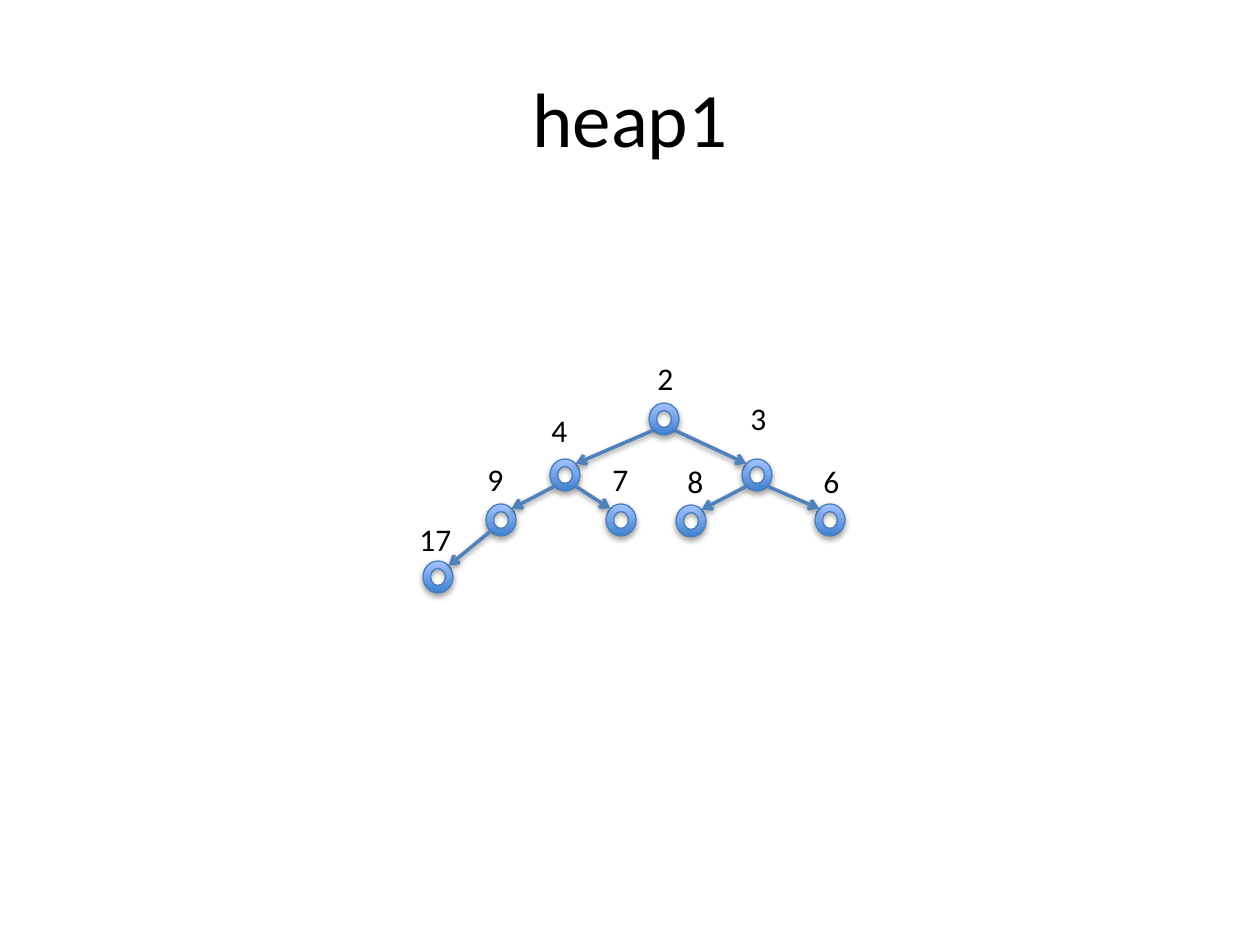
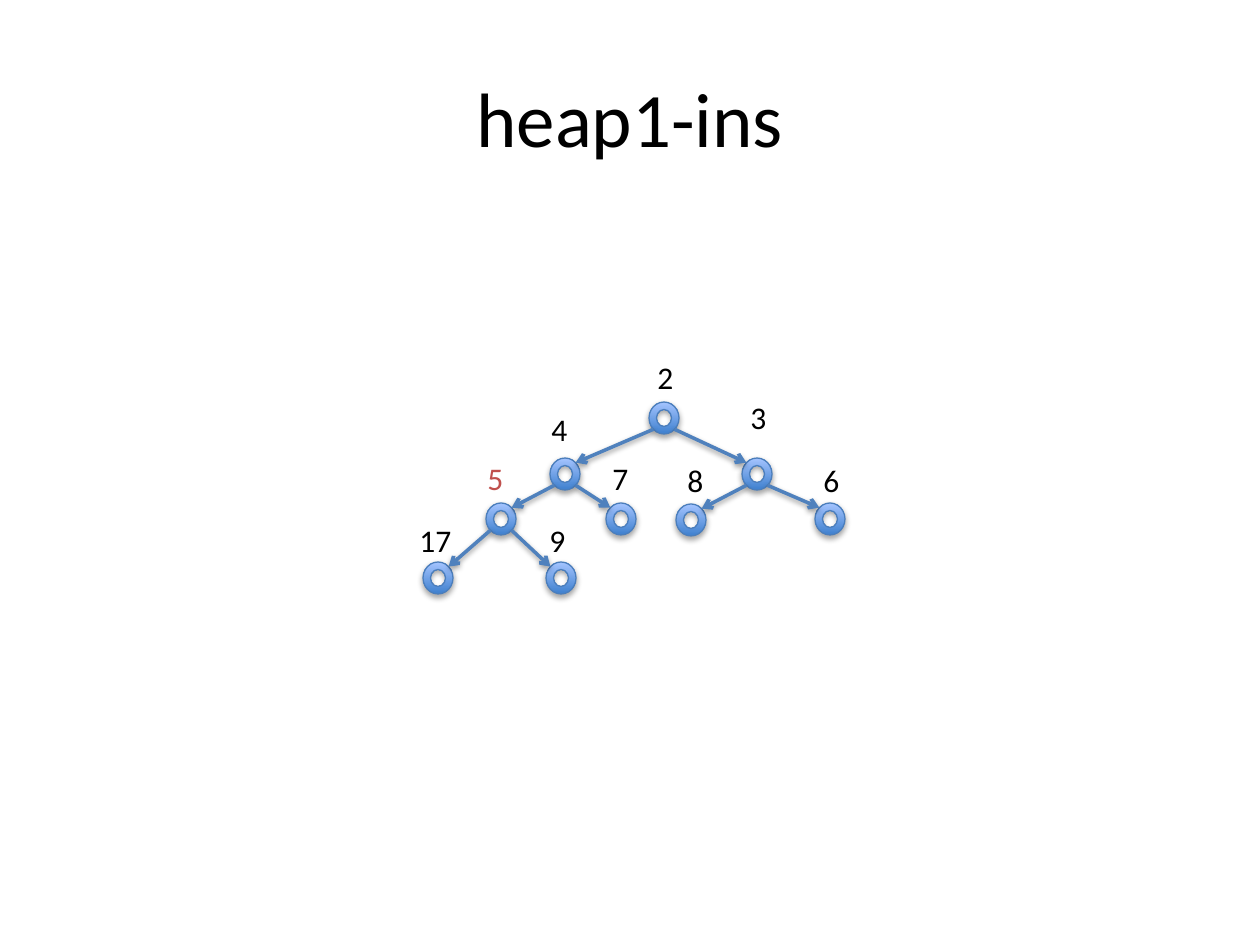
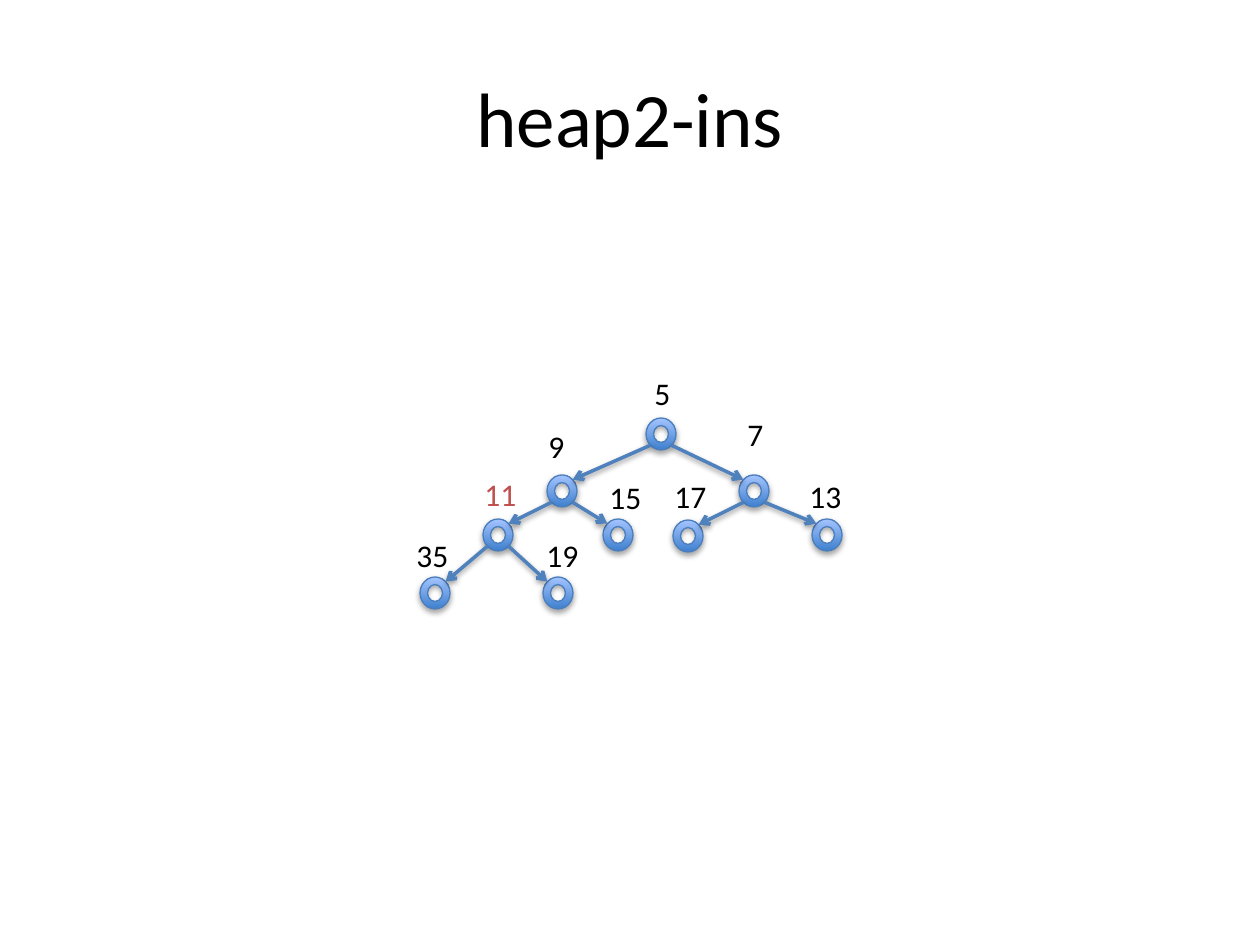
from math import sqrt
from lxml import etree
from pptx import Presentation
from pptx import util as u
from pptx.dml.color import RGBColor
from pptx.enum import shapes, text
from pptx.oxml.ns import nsdecls, qn

PX = 914400 / 126
FONT = "Calibri"
BLACK, RED = "000000", "C0504D"
RING_BOTTOM, RING_TOP, RING_LINE, EDGE = "3F80CE", "A4C4FF", "4B7EBC", "4F81BD"
NODE_W, NODE_H = 30, 32
LABEL_H = 50
LABEL_WIDTHS = {1: 42, 2: 58}

# name: left, row, drop below row, label offset from node
NODES = {
    "root": (649, 0, 0, (-4, -50)),
    "l": (550, 1, 0, (-11, -54)),
    "r": (742, 1, 0, (-4, -66)),
    "ll": (486, 2, 0, (-11, -50)),
    "lr": (606, 2, 0, (-6, -50)),
    "rl": (676, 2, 1, (-1, -49)),
    "rr": (815, 2, 0, (-4, -48)),
    "lll": (423, 3, 0, (-16, -47)),
    "llr": (546, 3, 0, (-9, -47)),
}
EDGES = [("root", "l"), ("root", "r"), ("l", "ll"), ("l", "lr"),
         ("r", "rl"), ("r", "rr"), ("ll", "lll"), ("ll", "llr")]

HEAPS = [
    {"title": "heap1", "shift": 0, "rows": (403, 459, 504, 561),
     "keys": dict(root="2", l="4", r="3", ll="9", lr="7", rl="8", rr="6", lll="17")},
    {"title": "heap1-ins", "shift": 0, "rows": (402, 458, 503, 562), "inserted": "ll",
     "keys": dict(root="2", l="4", r="3", ll="5", lr="7", rl="8", rr="6", lll="17", llr="9")},
    {"title": "heap2-ins", "shift": -3, "rows": (418, 475, 519, 577), "inserted": "ll",
     "keys": dict(root="5", l="9", r="7", ll="11", lr="15", rl="17", rr="13", lll="35", llr="19"),
     "nudges": {"lr": (0, 3), "rl": (-10, 0), "rr": (-11, 0)}},
]


def px(*values):
    return [u.Emu(round(v * PX)) for v in values]


def rgb(color):
    return RGBColor.from_string(color)


def add_shadow(sp, alpha, dist):
    sp._element.spPr.append(etree.fromstring(
        f'<a:effectLst {nsdecls("a")}><a:outerShdw blurRad="40000" dist="{dist}" '
        f'dir="5400000" rotWithShape="0"><a:srgbClr val="000000">'
        f'<a:alpha val="{alpha}000"/></a:srgbClr></a:outerShdw></a:effectLst>'))


def add_text(parent, words, box, size=18, color=BLACK, wrap=False, align=None,
             anchor=text.MSO_ANCHOR.TOP, fit=text.MSO_AUTO_SIZE.SHAPE_TO_FIT_TEXT):
    tf = parent.add_textbox(*px(*box)).text_frame
    tf.word_wrap = wrap
    tf.auto_size = fit
    tf.vertical_anchor = anchor
    p = tf.paragraphs[0]
    p.alignment = align
    r = p.add_run()
    r.text = words
    r.font.name, r.font.size = FONT, u.Pt(size)
    r.font.color.rgb = rgb(color)


def add_node(parent, x, y):
    sp = parent.add_shape(shapes.MSO_SHAPE.DONUT, *px(x, y, NODE_W, NODE_H))
    sp.fill.gradient()
    sp.fill.gradient_angle = 90
    for stop, color, position in zip(sp.fill.gradient_stops, (RING_BOTTOM, RING_TOP), (0, 1)):
        stop.color.rgb = rgb(color)
        stop.position = position
    sp.line.color.rgb = rgb(RING_LINE)
    sp.line.width = u.Pt(0.75)
    add_shadow(sp, 35, 23000)


def add_edge(parent, start, end):
    side = 1 if end[0] > start[0] else -1
    dx, dy = NODE_W / 2 / sqrt(2), NODE_H / 2 / sqrt(2)
    mid_x, mid_y = NODE_W / 2, NODE_H / 2
    sp = parent.add_connector(shapes.MSO_CONNECTOR.STRAIGHT, *px(
        start[0] + mid_x + side * dx, start[1] + mid_y + dy,
        end[0] + mid_x - side * dx, end[1] + mid_y - dy))
    sp.line.color.rgb = rgb(EDGE)
    sp.line.width = u.Pt(2)
    etree.SubElement(sp.line._get_or_add_ln(), qn("a:tailEnd"), type="arrow")
    add_shadow(sp, 38, 20000)


def add_heap(prs, heap):
    s = prs.slides.add_slide(prs.slide_layouts[6])
    add_text(s.shapes, heap["title"], (63, 38, 1134, 157), size=44, wrap=True,
             align=text.PP_ALIGN.CENTER, anchor=text.MSO_ANCHOR.MIDDLE,
             fit=text.MSO_AUTO_SIZE.NONE)
    tree = s.shapes.add_group_shape().shapes
    keys = heap["keys"]
    places = {}
    for name in keys:
        left, row, drop, _ = NODES[name]
        places[name] = (left + heap["shift"], heap["rows"][row] + drop)
        add_node(tree, *places[name])
    for start, end in EDGES:
        if end in keys:
            add_edge(tree, places[start], places[end])
    for name, key in keys.items():
        offset = NODES[name][3]
        nudge = heap.get("nudges", {}).get(name, (0, 0))
        x, y = map(sum, zip(places[name], offset, nudge))
        add_text(tree, key, (x, y, LABEL_WIDTHS[len(key)], LABEL_H),
                 color=RED if name == heap.get("inserted") else BLACK)


def main():
    prs = Presentation()
    prs.slide_width, prs.slide_height = px(1260, 945)
    for heap in HEAPS:
        add_heap(prs, heap)
    prs.save("out.pptx")


if __name__ == "__main__":
    main()
